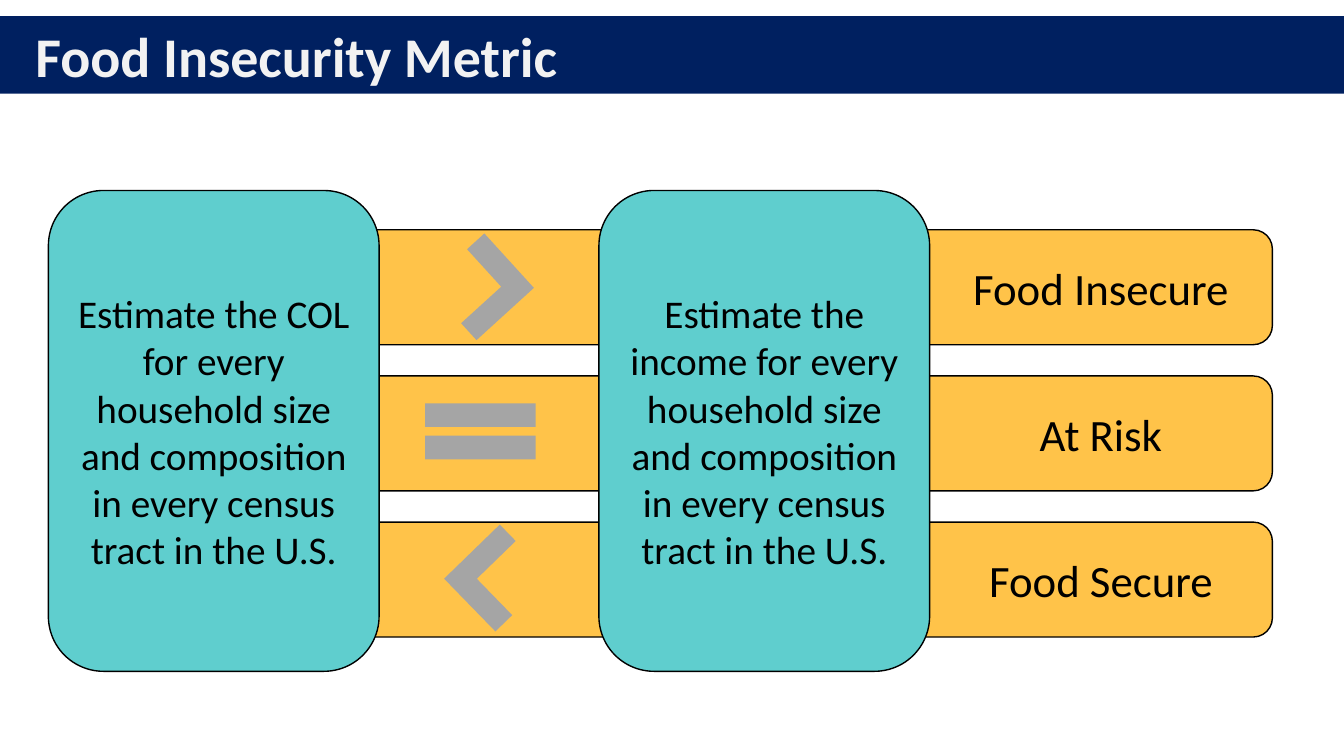
from pptx import Presentation
from pptx.dml.color import RGBColor
from pptx.enum.shapes import MSO_SHAPE
from pptx.enum.text import MSO_ANCHOR, MSO_AUTO_SIZE, PP_ALIGN
from pptx.util import Inches, Pt

ROUNDED = MSO_SHAPE.ROUNDED_RECTANGLE
CORNER = MSO_SHAPE.CORNER
EQUAL = MSO_SHAPE.MATH_EQUAL
CENTER, LEFT = PP_ALIGN.CENTER, PP_ALIGN.LEFT
MIDDLE = MSO_ANCHOR.MIDDLE

NAVY = RGBColor(0x00, 0x20, 0x60)
OFF_WHITE = RGBColor(0xF2, 0xF2, 0xF2)
AMBER = RGBColor(0xFF, 0xC3, 0x49)
TEAL = RGBColor(0x5F, 0xCE, 0xCE)
GRAY = RGBColor(0xA5, 0xA5, 0xA5)
BLACK = RGBColor(0x00, 0x00, 0x00)

# Grid in inches: two panels across, three bars down
PANEL_LEFT, PANEL_TOP, PANEL_STEP = 0.48, 1.89, 5.46
PANEL_WIDTH, PANEL_HEIGHT = 3.28, 4.77
BAR_LEFT, BAR_TOP, BAR_STEP = 3.28, 2.28, 1.45
BAR_WIDTH, BAR_HEIGHT = 9.34, 1.14
LABEL_LEFT = PANEL_LEFT + PANEL_STEP + PANEL_WIDTH
LABEL_WIDTH = BAR_LEFT + BAR_WIDTH - LABEL_LEFT

presentation = Presentation()
presentation.slide_width = Inches(13.33)
presentation.slide_height = Inches(7.5)
slide = presentation.slides.add_slide(presentation.slide_layouts[5])


def add_filled(kind, left, top, width, height, fill, outlined=True):
    shape = slide.shapes.add_shape(
        kind, Inches(left), Inches(top), Inches(width), Inches(height))
    shape.shadow.inherit = False
    shape.fill.solid()
    shape.fill.fore_color.rgb = fill
    if outlined:
        shape.line.color.rgb = BLACK
        shape.line.width = Pt(1)
    else:
        shape.line.fill.background()
    return shape


def write(shape, text, size, color=BLACK, align=CENTER, bold=False):
    frame = shape.text_frame
    frame.text = text
    frame.word_wrap = True
    frame.auto_size = MSO_AUTO_SIZE.NONE
    frame.vertical_anchor = MIDDLE
    paragraph = frame.paragraphs[0]
    paragraph.alignment = align
    font = paragraph.runs[0].font
    font.name, font.size, font.bold = "Calibri", Pt(size), bold
    font.color.rgb = color


# Title band across the full width
title = slide.shapes.title
title.left, title.top = 0, Inches(0.16)
title.width, title.height = presentation.slide_width, Inches(0.77)
title.fill.solid()
title.fill.fore_color.rgb = NAVY
write(title, "Food Insecurity Metric", 40, OFF_WHITE, LEFT, True)
title.text_frame.margin_left = Inches(0.35)

# Outcome bars, behind the panels
for row in range(3):
    add_filled(ROUNDED, BAR_LEFT, BAR_TOP + row * BAR_STEP,
               BAR_WIDTH, BAR_HEIGHT, AMBER)

# Estimate panels
for column, subject in enumerate(("COL", "income")):
    panel = add_filled(ROUNDED, PANEL_LEFT + column * PANEL_STEP, PANEL_TOP,
                       PANEL_WIDTH, PANEL_HEIGHT, TEAL)
    write(panel, f"Estimate the {subject} for every household size and "
                 "composition in every census tract in the U.S.", 28)

# Comparison sign and outcome label on each bar
outcomes = (
    ("Food Insecure", CORNER, (4.4, 2.46, 0.73, 0.77), 227.7, (0.318, 0.311)),
    ("At Risk", EQUAL, (4.02, 3.78, 1.49, 1), 0, (0.235, 0.087)),
    ("Food Secure", CORNER, (4.57, 5.35, 0.73, 0.77), 45.8, (0.318, 0.311)),
)
for row, (outcome, kind, box, rotation, adjustments) in enumerate(outcomes):
    sign = add_filled(kind, *box, GRAY, outlined=False)
    sign.rotation = rotation
    for index, value in enumerate(adjustments):
        sign.adjustments[index] = value
    label = slide.shapes.add_textbox(
        Inches(LABEL_LEFT), Inches(BAR_TOP + row * BAR_STEP + 0.25),
        Inches(LABEL_WIDTH), Inches(0.64))
    write(label, outcome, 32)

presentation.save("out.pptx")
